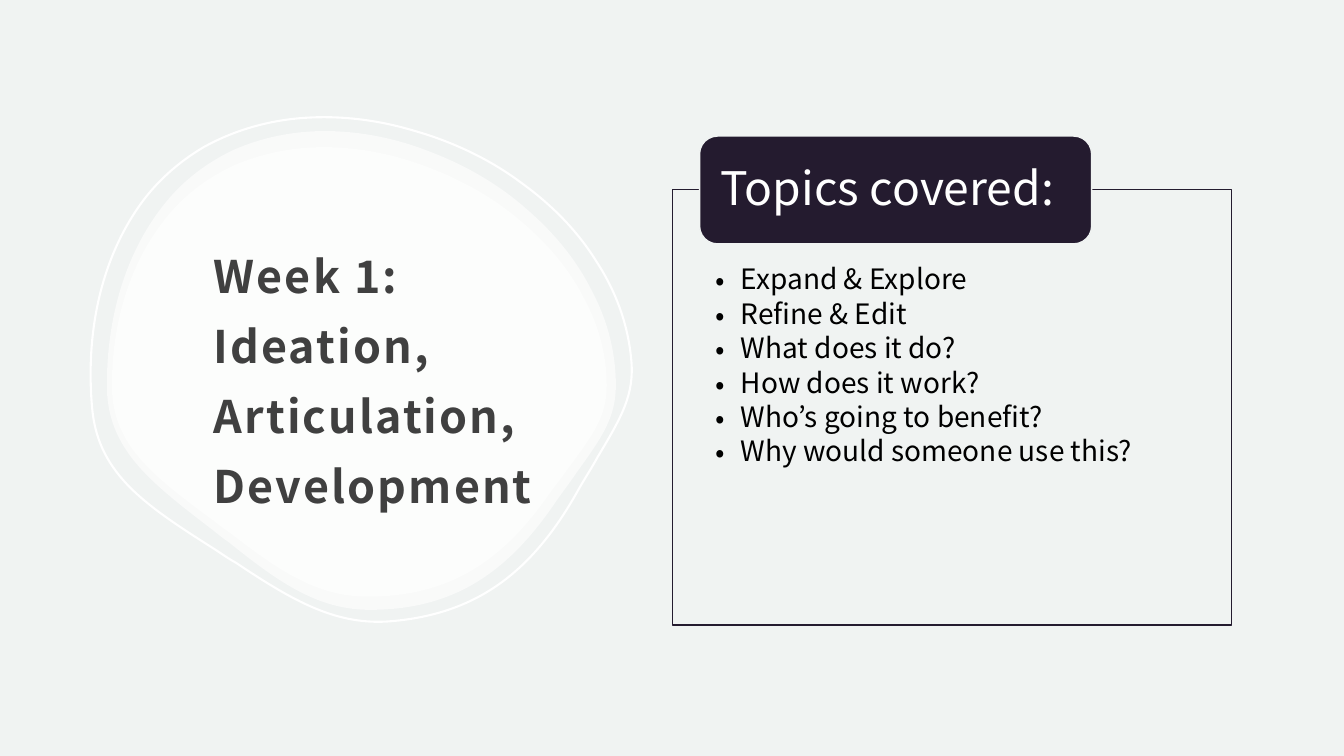
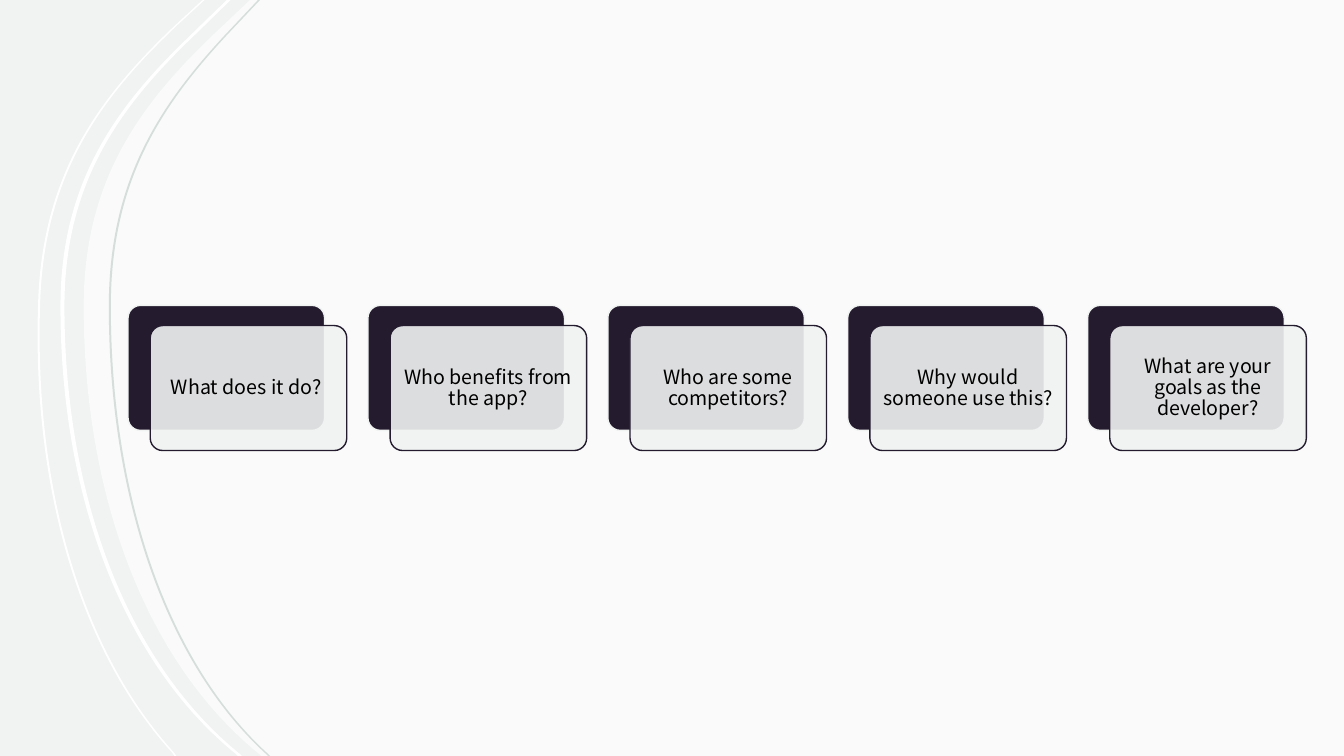
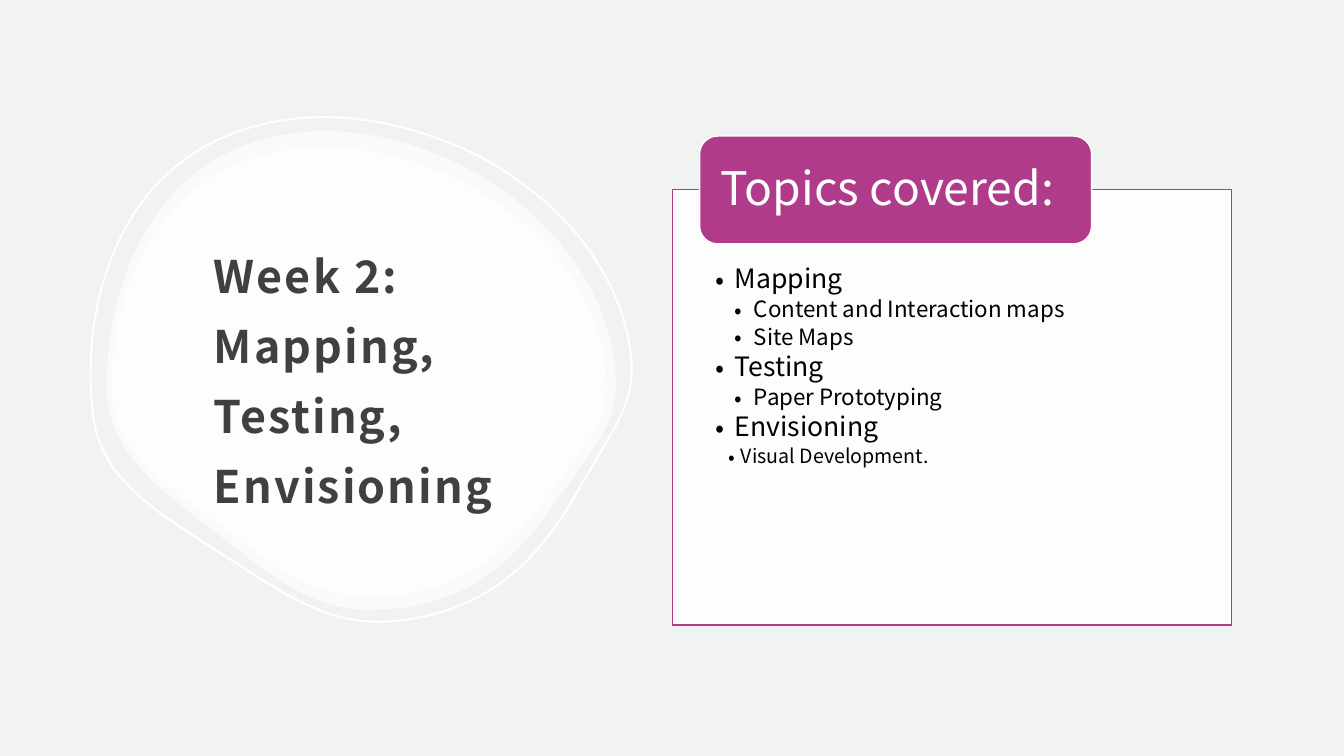
"""Build a three-slide course outline deck."""
from lxml import etree
from pptx import Presentation
from pptx import util as u
from pptx.dml.color import RGBColor
from pptx.enum import shapes, text
from pptx.oxml.ns import qn

PX = 9144
FONT = "Noto Sans CJK JP"
MIST = RGBColor(0xF0, 0xF3, 0xF2)
WHITE = RGBColor(0xFF, 0xFF, 0xFF)
BLACK = RGBColor(0x00, 0x00, 0x00)
GREY = RGBColor(0x40, 0x40, 0x40)
SAGE = RGBColor(0xD5, 0xDE, 0xDB)
PLUM = RGBColor(0x24, 0x1B, 0x2F)
PINK = RGBColor(0xB1, 0x3B, 0x8B)

LEAD = 1.08
BLOB_W, BLOB_H = 505, 475
BLOB = [
    (216, 0),
    (183, 0, 152, 7, 125, 19),
    (100, 31, 77, 48, 59, 70),
    (21, 116, 0, 180, 0, 252),
    (0, 280, 8, 303, 26, 326),
    (45, 350, 74, 372, 104, 395),
    (109, 399, 115, 404, 121, 408),
    (172, 449, 210, 475, 261, 475),
    (339, 475, 395, 443, 446, 367),
    (453, 357, 460, 348, 466, 339),
    (492, 303, 505, 284, 505, 252),
    (505, 220, 497, 188, 481, 158),
    (466, 128, 444, 101, 416, 77),
    (389, 53, 356, 34, 322, 21),
    (287, 7, 251, 0, 216, 0),
]
FIELD = [
    (248, 0), (1334, 0), (1334, 750), (1224, 750), (1068, 750), (894, 750),
    (857, 750), (825, 750), (820, 750), (725, 750), (724, 750), (710, 750),
    (548, 750), (259, 750), (257, 748),
    (145, 657, 83, 492, 83, 304),
    (83, 179, 139, 104, 211, 35),
]
WAVES = [
    (WHITE, 2, [(203, 0), (177, 24), (104, 93, 45, 168, 40, 297),
                (33, 480, 80, 645, 173, 747), (175, 750)]),
    (WHITE, 4, [(229, 0), (193, 35), (121, 104, 64, 179, 64, 304),
                (64, 492, 126, 657, 238, 748), (240, 750)]),
    (SAGE, 2, [(258, 0), (225, 35), (161, 104, 110, 179, 110, 304),
               (110, 492, 166, 657, 266, 748), (268, 750)]),
]
ITEM = {"size": 20, "left": 25, "hang": 25}
TOP = {"size": 19, "left": 19, "hang": 19}
SUB = {"size": 16, "left": 38, "hang": 19}
SMALL = {"size": 14, "left": 25, "hang": 12}
WEEKS = [
    ("Week 1: Ideation, Articulation, Development", PLUM, MIST, [
        ("Expand & Explore", ITEM),
        ("Refine & Edit", ITEM),
        ("What does it do?", ITEM),
        ("How does it work?", ITEM),
        ("Who’s going to benefit?", ITEM),
        ("Why would someone use this?", ITEM),
    ]),
    ("Week 2: Mapping, Testing, Envisioning", PINK, WHITE, [
        ("Mapping", TOP),
        ("Content and Interaction maps", SUB),
        ("Site Maps", SUB),
        ("Testing", TOP),
        ("Paper Prototyping", SUB),
        ("Envisioning", TOP),
        ("Visual Development.", SMALL),
    ]),
]
ASKS = [
    "What does it do? ",
    "Who benefits from the app?",
    "Who are some competitors?",
    "Why would someone use this?",
    "What are your goals as the developer?",
]


def px(num):
    """Turn px into EMU."""
    return u.Emu(round(num * PX))


def assign(obj, vals):
    """Set each named value on an object."""
    for key, val in vals.items():
        setattr(obj, key, val)


def paint(shape, fill=None, alpha=100, line=None, width=1):
    """Give a shape its fill, opacity and outline."""
    shape.shadow.inherit = False
    if fill is None:
        shape.fill.background()
    else:
        shape.fill.solid()
        shape.fill.fore_color.rgb = fill
        if alpha < 100:
            tint = shape.fill._xPr.find(".//" + qn("a:srgbClr"))
            etree.SubElement(tint, qn("a:alpha"), val=str(alpha * 1000))
    if line is None:
        shape.line.fill.background()
    else:
        shape.line.color.rgb = line
        shape.line.width = u.Pt(width)


def block(slide, kind, box, **look):
    """Add a painted preset shape."""
    shape = slide.shapes.add_shape(kind, *map(px, box))
    paint(shape, **look)
    return shape


def pairs(seg):
    """Split a segment into its points."""
    return list(zip(seg[::2], seg[1::2]))


def outline(slide, path, **look):
    """Add a closed freeform of straight and cubic segments."""
    pts = [(px(x), px(y)) for seg in path for x, y in pairs(seg)]
    pen = slide.shapes.build_freeform(*pts[0], scale=1.0)
    pen.add_line_segments(pts[1:], close=True)
    shape = pen.convert_to_shape()
    steps = iter(list(shape._element.iter(qn("a:lnTo"))))
    for seg in path[1:]:
        step = next(steps)
        if len(seg) == 6:
            step.tag = qn("a:cubicBezTo")
            for _ in range(2):
                spare = next(steps)
                step.append(spare[0])
                spare.getparent().remove(spare)
    paint(shape, **look)
    return shape


def frame(shape, pad, anchor=text.MSO_ANCHOR.MIDDLE):
    """Set up the text area of a shape."""
    left, top, right, base = map(px, pad)
    area = shape.text_frame
    assign(area, {
        "word_wrap": True, "auto_size": text.MSO_AUTO_SIZE.NONE,
        "vertical_anchor": anchor, "margin_left": left, "margin_top": top,
        "margin_right": right, "margin_bottom": base,
    })
    return area


def label(slide, box, *setup):
    """Add a text box and return its text area."""
    return frame(slide.shapes.add_textbox(*map(px, box)), *setup)


def write(para, words, size, ink, lead=None, align=text.PP_ALIGN.LEFT,
          bold=False):
    """Fill a paragraph with one styled run."""
    assign(para, {"alignment": align, "space_before": u.Pt(0),
                  "line_spacing": u.Pt(lead or round(size * LEAD, 1))})
    run = para.add_run()
    run.text = words
    assign(run.font, {"name": FONT, "size": u.Pt(size), "bold": bold})
    run.font.color.rgb = ink
    return run


def bullet(para, left, hang):
    """Give a paragraph a hanging bullet."""
    props = para._p.get_or_add_pPr()
    props.set("marL", str(px(left)))
    props.set("indent", str(px(-hang)))
    etree.SubElement(props, qn("a:buFont"), typeface=FONT)
    etree.SubElement(props, qn("a:buChar"), char="•")


def blob(slide, box, turn=0, **look):
    """Fit the rounded blob to a box."""
    x, y, w, h = box
    path = [sum(((x + a * w / BLOB_W, y + b * h / BLOB_H)
                 for a, b in pairs(seg)), ()) for seg in BLOB]
    outline(slide, path, **look).rotation = turn


def title(slide, box, words):
    """Draw the blobs and place the title on them."""
    x, y, w, h = box
    blob(slide, (x, y, w, h), fill=WHITE, alpha=60)
    blob(slide, (x + 5, y + 16, w - 14, h - 29), fill=WHITE, alpha=60)
    blob(slide, (x - 17, y - 17, w + 32, h + 30), 355, line=WHITE, width=1.5)
    head = slide.shapes.title
    slide.shapes._spTree.append(head._element)
    assign(head, {"left": px(x + 94), "top": px(y + 78),
                  "width": px(362), "height": px(321)})
    area = frame(head, (12, 12, 12, 10))
    run = write(area.paragraphs[0], words, 32, GREY, 50, bold=True)
    run._r.get_or_add_rPr().set("spc", "150")


def topics(slide, box, tone, back, items):
    """Draw the topic panel with its badge and bullets."""
    x, y, w, h = box
    block(slide, shapes.MSO_SHAPE.RECTANGLE, box,
          fill=back, alpha=90, line=tone)
    area = label(slide, box, (43, 75, 43, 12), text.MSO_ANCHOR.TOP)
    for num, (words, rank) in enumerate(items):
        para = area.add_paragraph() if num else area.paragraphs[0]
        write(para, words, rank["size"], BLACK)
        para.space_after = u.Pt(round(rank["size"] * 0.15, 1))
        bullet(para, rank["left"], rank["hang"])
    block(slide, shapes.MSO_SHAPE.ROUNDED_RECTANGLE,
          (x + 27, y - 53, 389, 107), fill=tone, line=back)
    area = label(slide, (x + 33, y - 48, 378, 96), (15, 0, 15, 0))
    write(area.paragraphs[0], "Topics covered:", 33, WHITE)


def waves(slide):
    """Draw the pale field and the curved strips beside it."""
    outline(slide, FIELD, fill=WHITE, alpha=60)
    for tone, wide, (start, bend, upper, lower, end) in WAVES:
        (a, b, c), (d, e, f) = pairs(upper), pairs(lower)
        back = [end, f, e + d + c, b + a + bend, start]
        left = [sum(((x - wide, y) for x, y in pairs(seg)), ())
                for seg in back]
        outline(slide, [start, bend, upper, lower, end] + left, fill=tone)


def card(slide, box, words):
    """Draw a question card over its dark backing."""
    x, y, w, h = box
    kind = shapes.MSO_SHAPE.ROUNDED_RECTANGLE
    rear = block(slide, kind, box, fill=PLUM, line=MIST)
    face = block(slide, kind, (x + 22, y + 20, w, h),
                 fill=MIST, alpha=90, line=PLUM)
    for part in (rear, face):
        part.adjustments[0] = 0.1
    area = label(slide, (x + 26, y + 24, w - 8, h - 8), (6, 6, 6, 6))
    write(area.paragraphs[0], words, 14, BLACK, align=text.PP_ALIGN.CENTER)


def week(deck, words, tone, back, items):
    """Add a week slide."""
    slide = deck.slides.add_slide(deck.slide_layouts[5])
    title(slide, (106, 130, BLOB_W, BLOB_H), words)
    topics(slide, (667, 188, 555, 432), tone, back, items)


def asks(deck):
    """Add the slide with a row of questions."""
    slide = deck.slides.add_slide(deck.slide_layouts[6])
    waves(slide)
    for num, words in enumerate(ASKS):
        card(slide, (127 + num * 238, 303, 195, 124), words)


def main():
    """Build and save the deck."""
    deck = Presentation()
    deck.slide_height = px(750)
    deck.slide_width = u.Emu(px(750) * 16 // 9)
    fill = deck.slide_master.background.fill
    fill.solid()
    fill.fore_color.rgb = MIST
    week(deck, *WEEKS[0])
    asks(deck)
    week(deck, *WEEKS[1])
    deck.save("out.pptx")


if __name__ == "__main__":
    main()
